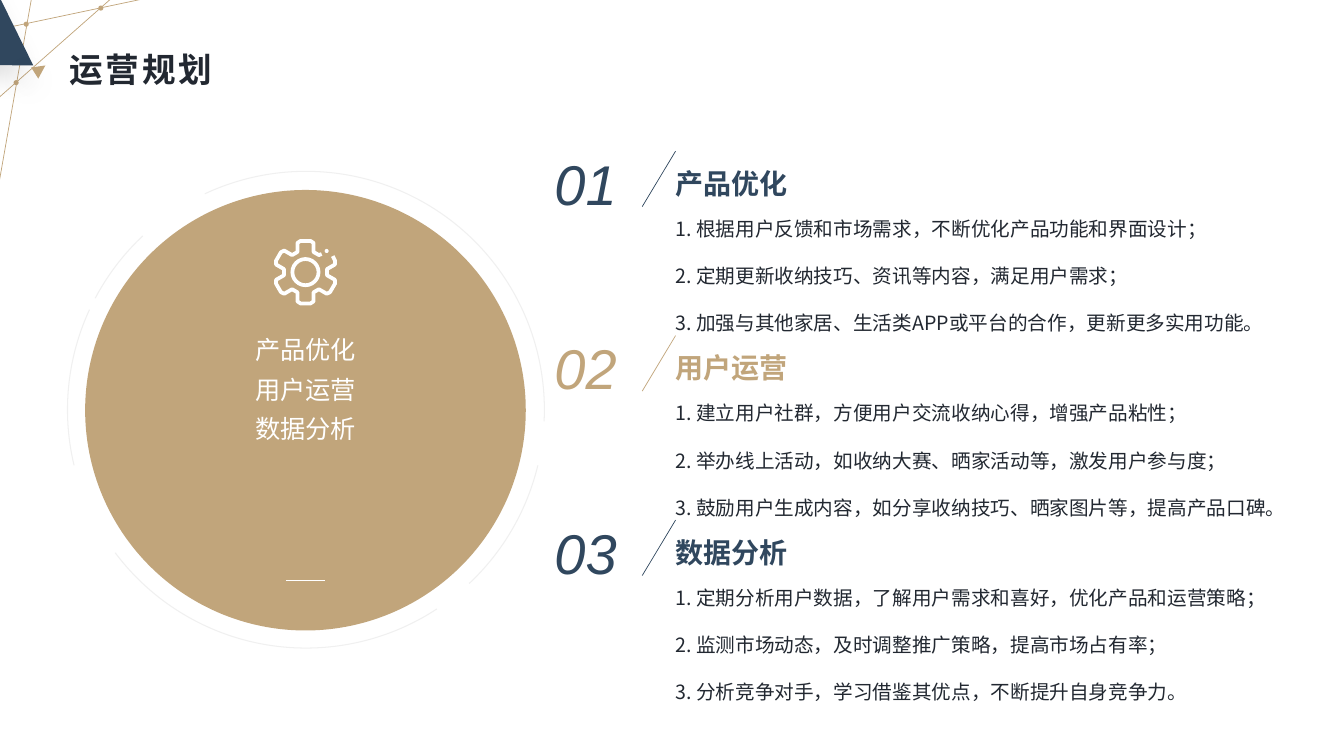
import math

from lxml import etree
from pptx import Presentation
from pptx.dml.color import RGBColor
from pptx.enum.shapes import MSO_CONNECTOR, MSO_SHAPE
from pptx.enum.text import MSO_ANCHOR, MSO_AUTO_SIZE, PP_ALIGN
from pptx.oxml import parse_xml
from pptx.oxml.ns import nsdecls, qn
from pptx.util import Inches, Pt

STRAIGHT = MSO_CONNECTOR.STRAIGHT
OVAL, ARC = MSO_SHAPE.OVAL, MSO_SHAPE.ARC
LEFT, CENTER = PP_ALIGN.LEFT, PP_ALIGN.CENTER
MIDDLE, NO_FIT = MSO_ANCHOR.MIDDLE, MSO_AUTO_SIZE.NONE
GOLD, NAVY, INK, WHITE, PALE = "C1A57B", "30475E", "222831", "FFFFFF", "F0F0F0"
CJK = "Noto Sans CJK SC"

TITLE = "运营规划"
SECTIONS = [
    ("产品优化", NAVY, [
        "1. 根据用户反馈和市场需求，不断优化产品功能和界面设计；",
        "2. 定期更新收纳技巧、资讯等内容，满足用户需求；",
        "3. 加强与其他家居、生活类APP或平台的合作，更新更多实用功能。"]),
    ("用户运营", GOLD, [
        "1. 建立用户社群，方便用户交流收纳心得，增强产品粘性；",
        "2. 举办线上活动，如收纳大赛、晒家活动等，激发用户参与度；",
        "3. 鼓励用户生成内容，如分享收纳技巧、晒家图片等，提高产品口碑。"]),
    ("数据分析", NAVY, [
        "1. 定期分析用户数据，了解用户需求和喜好，优化产品和运营策略；",
        "2. 监测市场动态，及时调整推广策略，提高市场占有率；",
        "3. 分析竞争对手，学习借鉴其优点，不断提升自身竞争力。"]),
]
FIRST_TOP, SECTION_STEP = 1.43, 1.83
RING_ARCS = [(207.9, 226.8), (13.5, 46.8), (244.9, 2.8), (56.7, 143.1), (166.5, 204.8)]


def rgb(value):
    return RGBColor.from_string(value)


def box(*lengths):
    return [Inches(v) for v in lengths]


def paint(shape, fill=None, line=None, width=0.75):
    shape.shadow.inherit = False
    if fill:
        shape.fill.solid()
        shape.fill.fore_color.rgb = rgb(fill)
    else:
        shape.fill.background()
    if line:
        shape.line.color.rgb = rgb(line)
        shape.line.width = Pt(width)
    else:
        shape.line.fill.background()


def add_line(s, start, end, color):
    line = s.shapes.add_connector(STRAIGHT, *box(*start, *end))
    line.line.color.rgb = rgb(color)
    line.line.width = Pt(0.5)
    etree.SubElement(line._element.spPr, qn("a:effectLst"))


def add_oval(s, cx, cy, size, fill=None, line=None, width=0.75):
    oval = s.shapes.add_shape(OVAL, *box(cx - size / 2, cy - size / 2, size, size))
    paint(oval, fill, line, width)


def add_outline(s, points, close):
    start, *rest = [box(*point) for point in points]
    builder = s.shapes.build_freeform(*start)
    builder.add_line_segments(rest, close=close)
    return builder.convert_to_shape()


def add_triangle(s, points, fill):
    triangle = add_outline(s, points, True)
    paint(triangle, fill)
    triangle._element.spPr.find(qn("a:effectLst")).append(parse_xml(
        f'<a:outerShdw {nsdecls("a")} blurRad="254000" dist="127000" dir="8100000">'
        '<a:srgbClr val="000000"><a:alpha val="15000"/></a:srgbClr></a:outerShdw>'))


def write(tf, lines, size, color, font=CJK, bold=False, italic=False,
          align=LEFT, spacing=None, gap=0):
    for i, text in enumerate(lines):
        p = tf.add_paragraph() if i else tf.paragraphs[0]
        p.alignment = align
        p.space_before = p.space_after = Pt(gap)
        if spacing:
            p.line_spacing = spacing
        r = p.add_run()
        r.text = text
        r.font.size = Pt(size)
        r.font.bold = bold
        r.font.italic = italic
        r.font.name = font
        r.font.color.rgb = rgb(color)
        etree.SubElement(r.font._element, qn("a:ea")).set("typeface", font)


def clear_margins(tf):
    tf.margin_left = tf.margin_right = tf.margin_top = tf.margin_bottom = 0


def add_text(s, at, lines, size, color, margins=True, **style):
    tf = s.shapes.add_textbox(*box(*at)).text_frame
    tf.word_wrap = True
    if not margins:
        clear_margins(tf)
    write(tf, lines, size, color, **style)


def add_title(s):
    title = s.shapes.title
    title.left, title.top, title.width, title.height = box(0.69, 0.47, 6, 0.48)
    tf = title.text_frame
    clear_margins(tf)
    tf.vertical_anchor = MIDDLE
    tf.auto_size = NO_FIT
    write(tf, [TITLE], 24, INK, bold=True, spacing=0.9)
    tf.paragraphs[0].runs[0].font._element.set("spc", "200")


def add_corner(s):
    for start, end in [((0.35, -0.23), (-0.03, 1.93)),
                       ((1.2, -0.1), (-0.24, 1.17)),
                       ((1.51, -0.03), (-1, 0.5))]:
        add_line(s, start, end, GOLD)
    for cx, cy in [(0.16, 0.82), (0.26, 0.24), (1, 0.08)]:
        add_oval(s, cx, cy, 0.05, GOLD)
    add_triangle(s, [(-0.61, 0.64), (0.33, 0.65), (-0.05, -0.12)], NAVY)
    add_triangle(s, [(0.45, 0.65), (0.38, 0.78), (0.31, 0.67)], GOLD)


def add_gear(s, cx, cy):
    tooth = [(-0.08, -0.2), (-0.08, -0.29), (-0.05, -0.31),
             (0.05, -0.31), (0.08, -0.29), (0.08, -0.2)]
    points = []
    for k in range(1, 7):
        cos, sin = math.cos(k * math.pi / 3), math.sin(k * math.pi / 3)
        points += [(cx + x * cos - y * sin, cy + x * sin + y * cos) for x, y in tooth]
    rim = [(cx + 0.27, cy - 0.16), *points[3:], points[0], (cx + 0.16, cy - 0.18)]
    paint(add_outline(s, rim, False), line=WHITE, width=2.7)
    add_oval(s, cx, cy, 0.26, line=WHITE, width=2.7)
    add_oval(s, cx + 0.21, cy - 0.21, 0.04, WHITE)


def add_circle(s):
    add_oval(s, 3.03, 4.07, 4.37, GOLD)
    add_text(s, (1.23, 3.23, 3.6, 1.18), [name for name, _, _ in SECTIONS],
             18, WHITE, margins=False, align=CENTER, spacing=1.3)
    add_line(s, (2.84, 5.76), (3.22, 5.76), WHITE)
    for angles in RING_ARCS:
        arc = s.shapes.add_shape(ARC, *box(0.67, 1.7, 4.73, 4.73))
        for i, angle in enumerate(angles):
            arc.adjustments[i] = angle * 0.6
        paint(arc, line=PALE)
    add_gear(s, 3.03, 2.7)


def add_section(s, index, name, color, items):
    top = FIRST_TOP + index * SECTION_STEP
    add_text(s, (6.6, top + 0.6, 6.28, 1.39), items, 14, INK, spacing=1.3, gap=6)
    add_text(s, (6.6, top + 0.17, 3.1, 0.44), [name], 20, color, bold=True)
    add_text(s, (5.4, top, 1.08, 0.77), [f"{index + 1:02}"], 40, color,
             font="Arial", italic=True)
    add_line(s, (6.7, top + 0.07), (6.37, top + 0.62), color)


def main():
    prs = Presentation()
    prs.slide_width, prs.slide_height = box(13.33, 7.5)
    s = prs.slides.add_slide(prs.slide_layouts[5])
    add_corner(s)
    add_title(s)
    add_circle(s)
    for index, section in enumerate(SECTIONS):
        add_section(s, index, *section)
    prs.save("out.pptx")


if __name__ == "__main__":
    main()
